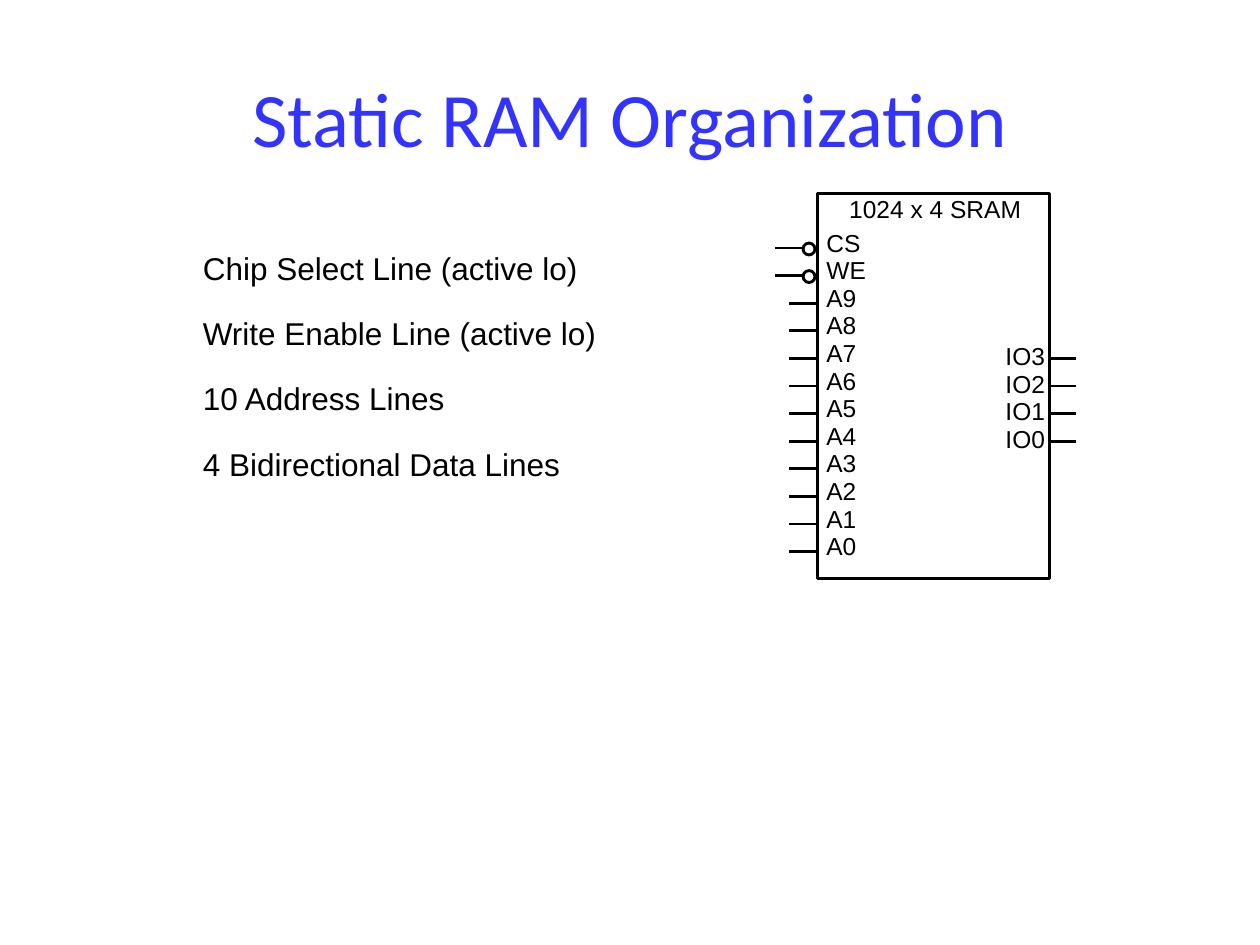
from lxml import etree
from pptx import Presentation
from pptx.dml.color import RGBColor
from pptx.enum import shapes, text
from pptx.oxml import ns
from pptx.util import Cm, Pt

BLUE = RGBColor(0x33, 0x33, 0xFF)
BLACK = RGBColor(0, 0, 0)

LINE_WIDTH = Pt(1.63)
ACTIVE_LOW = ["CS", "WE"]
INPUTS = ACTIVE_LOW + [f"A{i}" for i in range(9, -1, -1)]
OUTPUTS = ["IO3", "IO2", "IO1", "IO0"]
FIRST_OUTPUT_ROW = 4
FEATURES = [
    "Chip Select Line (active lo)",
    "Write Enable Line (active lo)",
    "10 Address Lines",
    "4 Bidirectional Data Lines",
]


def place(sp, box):
    sp.left, sp.top, sp.width, sp.height = box


def set_margins(tf, x, y):
    tf.margin_left = tf.margin_right = x
    tf.margin_top = tf.margin_bottom = y


def format_runs(p, font, size, color):
    for r in p.runs:
        r.font.name, r.font.size = font, size
        r.font.color.rgb = color


def add_title(slide, box):
    sp = slide.shapes.title
    place(sp, box)
    tf = sp.text_frame
    tf.text = "Static RAM Organization"
    tf.vertical_anchor = text.MSO_ANCHOR.MIDDLE
    p = tf.paragraphs[0]
    p.alignment = text.PP_ALIGN.CENTER
    format_runs(p, "Calibri", Pt(44), BLUE)


def add_features(slide, box):
    sp = slide.placeholders[1]
    place(sp, box)
    tf = sp.text_frame
    tf.text = "\n".join(FEATURES)
    tf.auto_size = text.MSO_AUTO_SIZE.NONE
    tf.vertical_anchor = text.MSO_ANCHOR.TOP
    set_margins(tf, Cm(0.18), Cm(0.08))
    for i, p in enumerate(tf.paragraphs):
        p.line_spacing = 0.85
        p.space_before = Pt(19 if i else 0)
        format_runs(p, "Arial", Pt(18), BLACK)
        props = p._p.get_or_add_pPr()
        props.set("marL", "0")
        props.set("indent", "0")
        etree.SubElement(props, ns.qn("a:buNone"))


def add_outline(slide, kind, box):
    """Add an unfilled shape with a black border."""
    sp = slide.shapes.add_shape(kind, *box)
    sp.shadow.inherit = False
    sp.fill.background()
    sp.line.color.rgb = BLACK
    sp.line.width = LINE_WIDTH


def add_label(slide, label, x, y, width):
    tf = slide.shapes.add_textbox(x, y, width, Cm(0.89)).text_frame
    tf.word_wrap = True
    set_margins(tf, 0, 0)
    tf.text = label
    format_runs(tf.paragraphs[0], "Arial", Pt(14), BLACK)


def add_stub(slide, x, y):
    """Add the short wire of one pin, starting at its left end."""
    line = slide.shapes.add_connector(
        shapes.MSO_CONNECTOR.STRAIGHT, x, y, x + Cm(0.55), y)
    line.line.color.rgb = BLACK
    line.line.width = LINE_WIDTH
    etree.SubElement(line._element.spPr, ns.qn("a:effectLst"))


def add_chip(slide, box):
    left, top, width, height = box
    right = left + width
    bubble = Cm(0.24)
    pitch = Cm(6.12) / (len(INPUTS) - 1)

    def row_y(row):
        return int(top + Cm(1.09) + row * pitch)

    add_outline(slide, shapes.MSO_SHAPE.RECTANGLE, box)
    add_label(slide, "1024 x 4 SRAM", left + Cm(0.64), top, Cm(4))

    for row, name in enumerate(INPUTS):
        y = row_y(row)
        add_label(slide, name, left + Cm(0.18), y - Cm(0.41), Cm(1.1))
        wire_end = left
        if name in ACTIVE_LOW:
            wire_end = left - Cm(0.29)
            add_outline(slide, shapes.MSO_SHAPE.OVAL,
                        (wire_end, y - Cm(0.1), bubble, bubble))
        add_stub(slide, wire_end - Cm(0.57), y)

    for row, name in enumerate(OUTPUTS, FIRST_OUTPUT_ROW):
        y = row_y(row)
        add_label(slide, name, right - Cm(0.88), y - Cm(0.35), Cm(1.17))
        add_stub(slide, right, y)


def main():
    prs = Presentation()
    prs.slide_width, prs.slide_height = Cm(25.4), Cm(19.05)
    slide = prs.slides.add_slide(prs.slide_layouts[1])
    add_title(slide, (Cm(1.27), Cm(0.76), Cm(22.86), Cm(3.18)))
    add_features(slide, (Cm(3.91), Cm(5.05), Cm(8.81), Cm(4.67)))
    add_chip(slide, (Cm(16.48), Cm(3.91), Cm(4.67), Cm(7.75)))
    prs.save("out.pptx")


if __name__ == "__main__":
    main()
